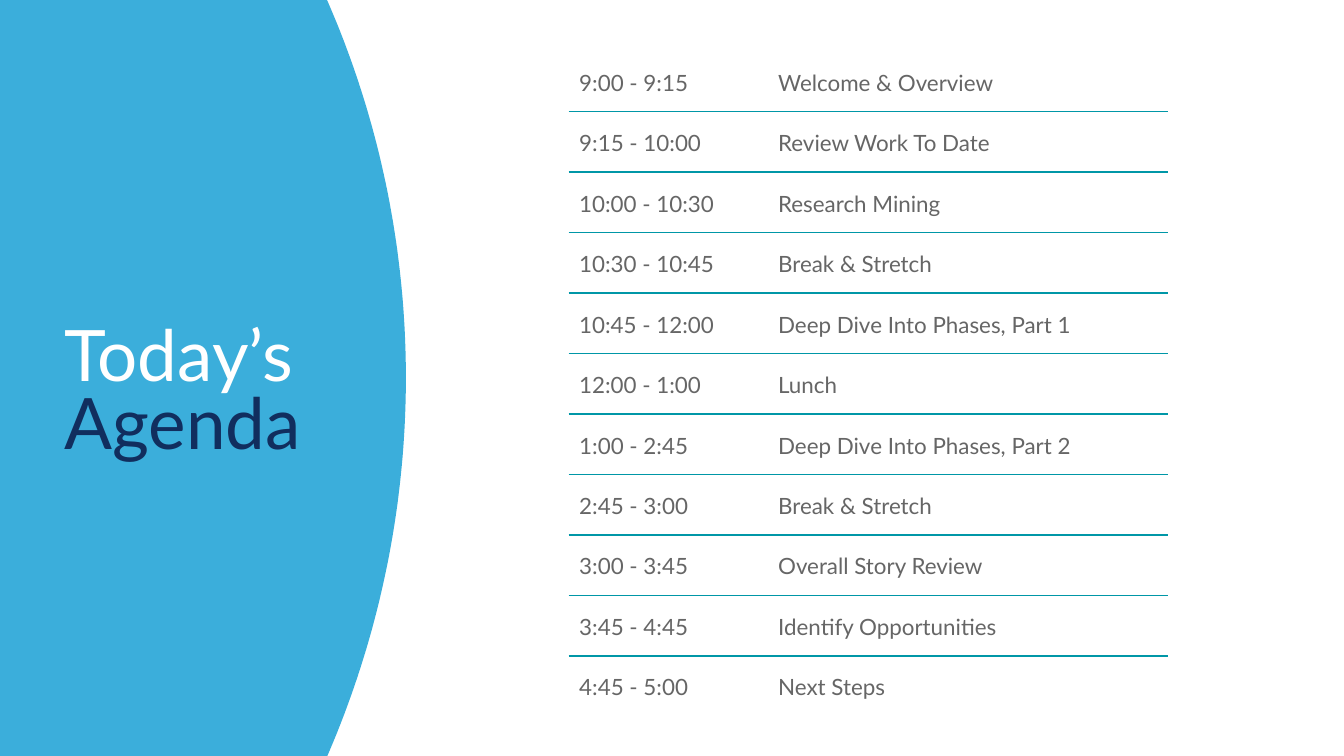
from dataclasses import dataclass
from typing import Any

from lxml.etree import SubElement
from pptx import Presentation
from pptx.dml.color import RGBColor
from pptx.enum.shapes import MSO_CONNECTOR as Connector
from pptx.enum.text import MSO_ANCHOR as Anchor
from pptx.oxml.ns import qn
from pptx.util import Inches, Pt

COLORS = {
    "panel": "3BAEDB",
    "white": "FFFFFF",
    "navy": "112E5E",
    "gray": "666666",
    "rule": "0097A7",
}

AGENDA = [
    ("9:00 - 9:15", "Welcome & Overview"),
    ("9:15 - 10:00", "Review Work To Date"),
    ("10:00 - 10:30", "Research Mining"),
    ("10:30 - 10:45", "Break & Stretch"),
    ("10:45 - 12:00", "Deep Dive Into Phases, Part 1"),
    ("12:00 - 1:00", "Lunch"),
    ("1:00 - 2:45", "Deep Dive Into Phases, Part 2"),
    ("2:45 - 3:00", "Break & Stretch"),
    ("3:00 - 3:45", "Overall Story Review"),
    ("3:45 - 4:45", "Identify Opportunities"),
    ("4:45 - 5:00", "Next Steps"),
]

ROW_PITCH = 0.45
TEXT_TOP = 0.46
RULE_TOP = 0.83
TITLE_MARGINS = (0.02, 0.02, 0.02, 0.02)
ROW_MARGINS = (0, 0.12, 0.1, 0.1)


def bezier(start, control1, control2, end, steps=40):
    points = []
    for step in range(1, steps + 1):
        t = step / steps
        weights = ((1 - t) ** 3, 3 * t * (1 - t) ** 2, 3 * t**2 * (1 - t), t**3)
        corners = (start, control1, control2, end)
        points.append(tuple(
            sum(weight * corner[axis] for weight, corner in zip(weights, corners))
            for axis in (0, 1)
        ))
    return points


@dataclass
class SlideBuilder:
    slide: Any
    font: str = "Lato"
    line_spacing: float = 0.8
    rule_width: float = 0.75

    def color(self, name):
        return RGBColor.from_string(COLORS[name])

    def outline(self, points, fill):
        start, *rest = [(Inches(x), Inches(y)) for x, y in points]
        builder = self.slide.shapes.build_freeform(*start, scale=1.0)
        builder.add_line_segments(rest, close=True)
        shape = builder.convert_to_shape()
        shape.shadow.inherit = False
        shape.fill.solid()
        shape.fill.fore_color.rgb = self.color(fill)
        shape.line.fill.background()

    def text(self, box, runs, size, margins, anchor=Anchor.TOP):
        shape = self.slide.shapes.add_textbox(*map(Inches, box))
        left, top, right, bottom = map(Inches, margins)
        frame_format = {
            "word_wrap": True,
            "vertical_anchor": anchor,
            "margin_left": left,
            "margin_top": top,
            "margin_right": right,
            "margin_bottom": bottom,
        }
        for name, value in frame_format.items():
            setattr(shape.text_frame, name, value)
        paragraph = shape.text_frame.paragraphs[0]
        paragraph.line_spacing = self.line_spacing
        for content, color in runs:
            run = paragraph.add_run()
            run.text = content
            run.font.color.rgb = self.color(color)
            for name, value in {"name": self.font, "size": Pt(size)}.items():
                setattr(run.font, name, value)

    def rule(self, left, right, top, color):
        ends = map(Inches, (left, top, right, top))
        connector = self.slide.shapes.add_connector(Connector.STRAIGHT, *ends)
        connector.line.color.rgb = self.color(color)
        connector.line.width = Pt(self.rule_width)
        SubElement(connector._element.spPr, qn("a:effectLst"))


def main():
    presentation = Presentation()
    presentation.slide_width = Inches(10)
    presentation.slide_height = Inches(10) * 9 // 16
    slide = presentation.slides.add_slide(presentation.slide_layouts[6])
    builder = SlideBuilder(slide)

    lower, middle, upper = (2.42, 5.66), (3.02, 2.81), (2.42, -0.03)
    panel = [(-0.03, -0.03), (-0.03, 5.66), lower]
    panel += bezier(lower, (2.82, 4.75), (3.02, 3.78), middle)
    panel += bezier(middle, (3.02, 1.84), (2.82, 0.87), upper)
    builder.outline(panel, "panel")

    title = [("Today’s ", "white"), ("Agenda", "navy")]
    builder.text((0.46, 2.4, 2.28, 1.08), title, 38, TITLE_MARGINS, Anchor.MIDDLE)

    for row, (time, topic) in enumerate(AGENDA):
        offset = row * ROW_PITCH
        for left, width, content in ((4.31, 1.45, time), (5.79, 2.76, topic)):
            box = (left, TEXT_TOP + offset, width, 0.28)
            builder.text(box, [(content, "gray")], 12, ROW_MARGINS)
        if row < len(AGENDA) - 1:
            builder.rule(4.23, 8.69, RULE_TOP + offset, "rule")

    presentation.save("out.pptx")


if __name__ == "__main__":
    main()
